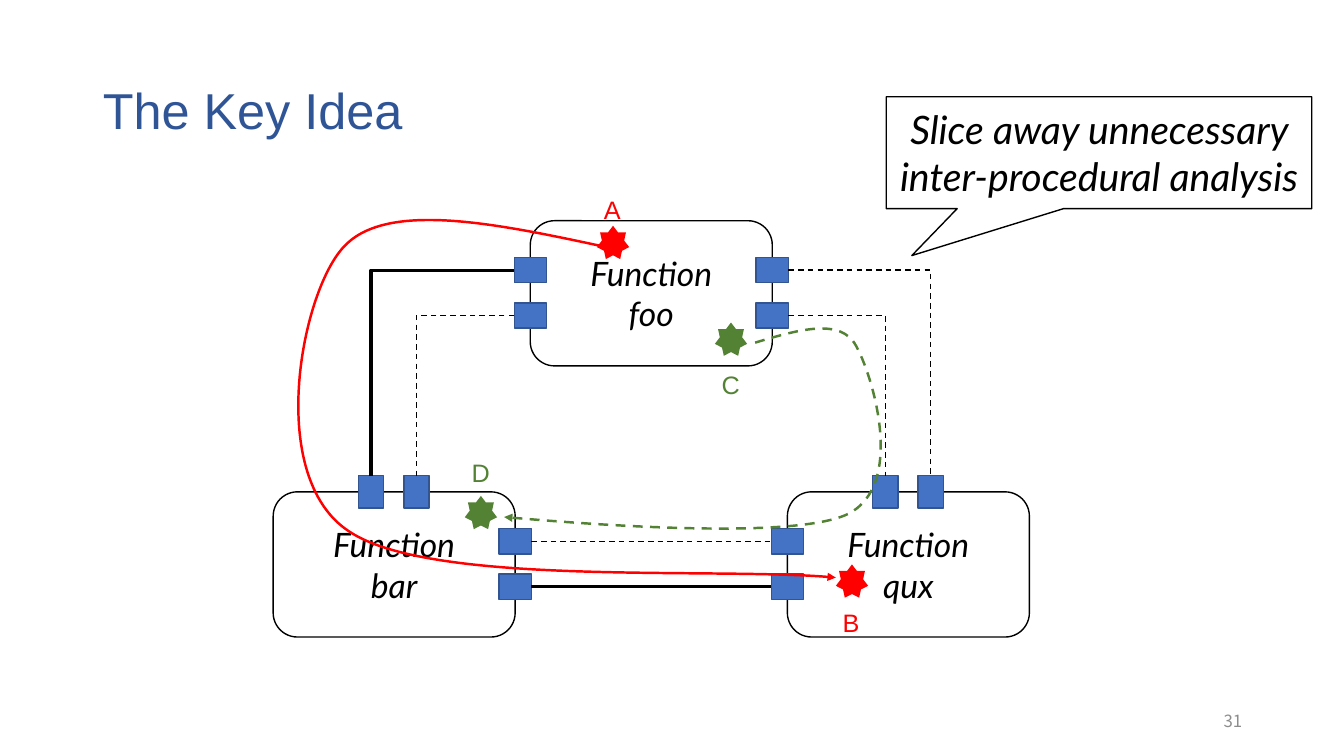
"""Build the "Key Idea" slide: three functions, their ports and two data flows."""
from lxml import etree
from pptx import Presentation, util as u
from pptx.dml.color import RGBColor
from pptx.enum import dml, shapes as sh, text as tx
from pptx.oxml import ns

BLACK, RED, GREEN = "000000", "FF0000", "548235"
BLUE, EDGE, NAVY, GREY = "4472C4", "325491", "2F5597", "8C8C8C"
COL, ROW, LEFT, TOP = 2.55, 2.69, 2.71, 2.19
WIDE, HIGH = 2.4, 1.44
LONG, SHORT = 0.32, 0.25
SIDE, ABOVE = (0.49, 0.94), (0.97, 1.42)


def paint(item, fill=None, line=None, width=1, dash=False):
    """Set the fill and line of a shape or connector, without a shadow."""
    if hasattr(item, "fill"):
        item.shadow.inherit = False
        if fill:
            item.fill.solid()
            item.fill.fore_color.rgb = RGBColor.from_string(fill)
        else:
            item.fill.background()
    else:
        etree.SubElement(item._element.spPr, ns.qn("a:effectLst"))
    if line:
        item.line.color.rgb = RGBColor.from_string(line)
        item.line.width = u.Pt(width)
        if dash:
            item.line.dash_style = dml.MSO_LINE.DASH
    else:
        item.line.fill.background()


def write(item, lines, size, font, color, align, italic=None):
    """Write one paragraph per line, centred in height."""
    frame = item.text_frame
    frame.vertical_anchor = tx.MSO_ANCHOR.MIDDLE
    frame.word_wrap = True
    for n, line in enumerate(lines):
        para = frame.add_paragraph() if n else frame.paragraphs[0]
        para.alignment = align
        run = para.add_run()
        run.text = line
        run.font.size, run.font.name, run.font.italic = u.Pt(size), font, italic
        run.font.color.rgb = RGBColor.from_string(color)


prs = Presentation()
prs.slide_width, prs.slide_height = u.Inches(13.33), u.Inches(7.5)
slide = prs.slides.add_slide(prs.slide_layouts[5])
draw = slide.shapes

title = draw.title
title.left, title.top, title.width, title.height = map(u.Inches, (0.92, 0.4, 11.5, 1.45))
write(title, ["The Key Idea"], 36, "Arial", NAVY, tx.PP_ALIGN.LEFT)
title.text_frame.paragraphs[0].line_spacing = 0.9

page = draw.add_textbox(*map(u.Inches, (9.42, 6.95, 3, 0.4)))
write(page, ["31"], 12, "Noto Sans CJK SC", GREY, tx.PP_ALIGN.RIGHT)

spots = {"foo": (1, 0), "bar": (0, 1), "qux": (2, 1)}
for name, (col, row) in spots.items():
    box = draw.add_shape(sh.MSO_SHAPE.ROUNDED_RECTANGLE, u.Inches(LEFT + col * COL),
                         u.Inches(TOP + row * ROW), u.Inches(WIDE), u.Inches(HIGH))
    paint(box, line=BLACK)
    write(box, ["Function", name], 24, "Lato", BLACK, tx.PP_ALIGN.CENTER, True)

ports = {}
for name, edge in (("bar", "right"), ("qux", "left"), ("foo", "left"),
                   ("foo", "right"), ("bar", "top"), ("qux", "top")):
    col, row = spots[name]
    for n in range(2):
        if edge == "top":
            x, y, w, h = ABOVE[n], 0, SHORT, LONG
        else:
            x, y, w, h = WIDE * (edge == "right"), SIDE[n], LONG, SHORT
        port = draw.add_shape(sh.MSO_SHAPE.RECTANGLE, u.Inches(LEFT + col * COL + x - w / 2),
                              u.Inches(TOP + row * ROW + y - h / 2), u.Inches(w), u.Inches(h))
        paint(port, BLUE, EDGE)
        ports[name, edge, n] = port

sites = {"top": 0, "left": 1, "right": 3}
for start, end, width in (
        (("foo", "left", 0), ("bar", "top", 0), 2.25),
        (("foo", "left", 1), ("bar", "top", 1), 1),
        (("foo", "right", 0), ("qux", "top", 1), 1),
        (("foo", "right", 1), ("qux", "top", 0), 1),
        (("bar", "right", 0), ("qux", "left", 0), 1),
        (("bar", "right", 1), ("qux", "left", 1), 2.25)):
    bent = end[1] == "top"
    kind = sh.MSO_CONNECTOR.ELBOW if bent else sh.MSO_CONNECTOR.STRAIGHT
    link = draw.add_connector(kind, 0, 0, 0, 0)
    link.begin_connect(ports[start], sites[start[1]])
    link.end_connect(ports[end], sites[end[1]])
    if bent:
        link._element.spPr.find(ns.qn("a:prstGeom")).set("prst", "bentConnector2")
    paint(link, line=BLACK, width=width, dash=width == 1)

flows = (
    (RED, False, (2.96, 2.18, 8.29, 5.73), (
        (5.96, 2.44), (4.89, 2.21), (3.81, 1.99), (3.4, 2.46), (2.98, 2.93),
        (2.64, 4.73), (3.46, 5.27), (4.27, 5.82), (7.14, 5.62), (8.29, 5.73))),
    (GREEN, True, (5, 3.26, 8.74, 5.23), (
        (7.49, 3.4), (7.92, 3.27), (8.34, 3.15), (8.49, 3.43), (8.65, 3.71),
        (8.99, 4.81), (8.41, 5.1), (7.83, 5.38), (5, 5.13), (5, 5.13))))
for color, dash, (x, y, right, low), dots in flows:
    pen = draw.build_freeform(round(x * 100), round(y * 100), u.Inches(0.01))
    pen.add_line_segments([(round(right * 100), round(low * 100))], close=False)
    flow = pen.convert_to_shape()
    route = flow._element.spPr.find(".//" + ns.qn("a:path"))
    for part in list(route):
        route.remove(part)
    for n, (px, py) in enumerate(dots):
        if n == 0:
            step = etree.SubElement(route, ns.qn("a:moveTo"))
        elif n % 3 == 1:
            step = etree.SubElement(route, ns.qn("a:cubicBezTo"))
        etree.SubElement(step, ns.qn("a:pt"), x=str(round((px - x) * 100)),
                         y=str(round((py - y) * 100)))
    paint(flow, line=color, width=1.75, dash=dash)
    etree.SubElement(flow.line._get_or_add_ln(), ns.qn("a:tailEnd"), type="triangle")

call = draw.add_shape(sh.MSO_SHAPE.RECTANGULAR_CALLOUT, *map(u.Inches, (8.79, 0.96, 4.22, 1.11)))
call.adjustments[0], call.adjustments[1] = -0.44, 0.92
paint(call, line=BLACK)
write(call, ["Slice away unnecessary inter-procedural analysis"], 28, "Lato", BLACK,
      tx.PP_ALIGN.CENTER, True)

for mark, color, x, y, tag in (("A", RED, 5.92, 2.24, 1.88), ("B", RED, 8.29, 5.6, 5.98),
                               ("C", GREEN, 7.09, 3.2, 3.61), ("D", GREEN, 4.61, 4.92, 4.49)):
    star = draw.add_shape(sh.MSO_SHAPE.STAR_7_POINT, *map(u.Inches, (x, y, 0.32, 0.33)))
    paint(star, color)
    label = draw.add_textbox(*map(u.Inches, (x - 0.03, tag, 0.38, 0.4)))
    write(label, [mark], 18, "Arial", color, tx.PP_ALIGN.LEFT)
    label.text_frame.word_wrap = False
    label.text_frame.auto_size = tx.MSO_AUTO_SIZE.SHAPE_TO_FIT_TEXT

prs.save("out.pptx")
